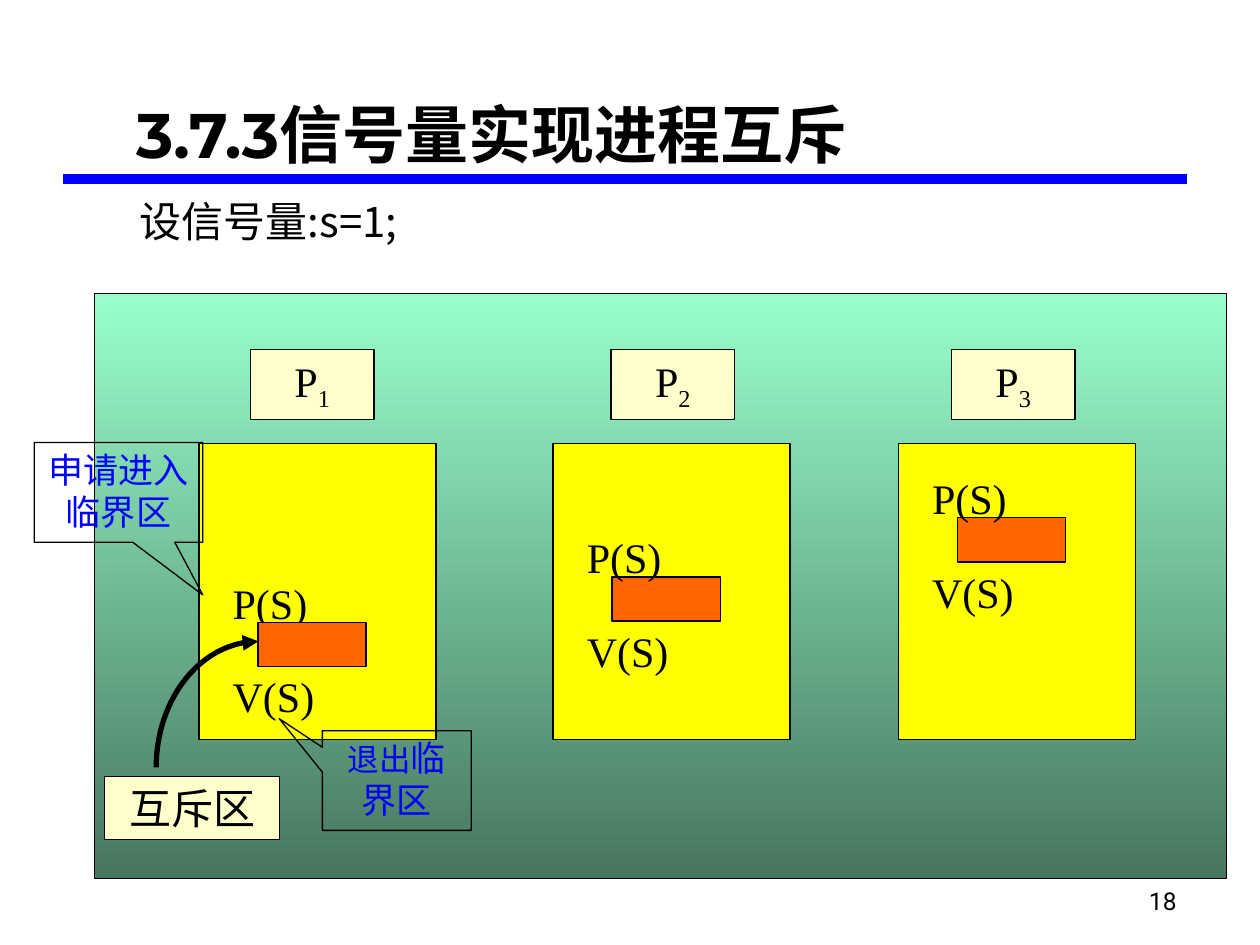
from dataclasses import dataclass
from math import cos, pi, sin

from lxml import etree
from pptx import Presentation
from pptx import util as u
from pptx.dml.color import RGBColor
from pptx.enum import shapes, text
from pptx.oxml.ns import qn

Cm = u.Cm


@dataclass(frozen=True)
class Theme:
    black: str = "000000"
    blue: str = "0000FF"
    board_top: str = "99FFCC"
    board_bottom: str = "47765E"
    panel: str = "FFFF00"
    critical: str = "FF6600"
    label: str = "FFFFCC"
    serif: str = "Times New Roman"
    heading: str = "Montserrat"
    number: str = "Roboto"
    cjk: str = "Noto Sans CJK SC"
    title_size: int = 36
    body_size: int = 24
    note_size: int = 20
    note_small: int = 18
    number_size: int = 14
    hairline: float = 0.75
    arrow: float = 3
    rule: float = 6


T = Theme()
A = text.PP_ALIGN
V = text.MSO_ANCHOR


def write(sp, content, size=T.body_size, font=T.serif, color=T.black,
          bold=False, align=A.LEFT, anchor=V.TOP):
    """Fill sp with one paragraph; content is a string or (text, size, baseline) runs."""
    tf = sp.text_frame
    tf.word_wrap = True
    tf.auto_size = text.MSO_AUTO_SIZE.NONE
    tf.vertical_anchor = anchor
    p = tf.paragraphs[0]
    p.alignment = align
    p.space_before = u.Pt(0)
    runs = [(content, size, 0)] if isinstance(content, str) else content
    for words, run_size, baseline in runs:
        r = p.add_run()
        r.text = words
        r.font.size = u.Pt(run_size)
        r.font.name = font
        r.font.bold = bold
        r.font.color.rgb = RGBColor.from_string(color)
        rPr = r._r.get_or_add_rPr()
        rPr.find(qn("a:latin")).addnext(etree.Element(qn("a:ea"), typeface=T.cjk))
        if baseline:
            rPr.set("baseline", str(baseline * 1000))


def outline(sp, width=T.hairline):
    sp.shadow.inherit = False
    sp.line.color.rgb = RGBColor.from_string(T.black)
    sp.line.width = u.Pt(width)


def box(s, x, y, w, h, fill=None, kind=shapes.MSO_SHAPE.RECTANGLE):
    sp = s.shapes.add_shape(kind, Cm(x), Cm(y), Cm(w), Cm(h))
    outline(sp)
    if fill:
        sp.fill.solid()
        sp.fill.fore_color.rgb = RGBColor.from_string(fill)
    else:
        sp.fill.background()
    return sp


def label(s, x, y, w, h, content, **fmt):
    write(s.shapes.add_textbox(Cm(x), Cm(y), Cm(w), Cm(h)), content, **fmt)


def header(s, x, y, w):
    """Title, the rule below it and the opening statement."""
    title = s.shapes.title
    title.left, title.top, title.width, title.height = (
        Cm(x + 1.22), Cm(y), Cm(w - 0.59), Cm(1.27))
    write(title, "3.7.3信号量实现进程互斥", size=T.title_size, font=T.heading,
          bold=True, anchor=V.BOTTOM)
    rule = s.shapes.add_connector(shapes.MSO_CONNECTOR.STRAIGHT,
                                  Cm(x), Cm(y + 1.3), Cm(x + w), Cm(y + 1.3))
    rule.line.color.rgb = RGBColor.from_string(T.blue)
    rule.line.width = u.Pt(T.rule)
    etree.SubElement(rule._element.spPr, qn("a:effectLst"))
    label(s, x + 1.3, y + 1.5, 7.14, 1.27, "设信号量:s=1;", font=T.cjk,
          anchor=V.MIDDLE)


def board(s, x, y, w, h):
    sp = box(s, x, y, w, h)
    sp.fill.gradient()
    sp.fill.gradient_angle = 270
    for stop, color in zip(sp.fill.gradient_stops, (T.board_top, T.board_bottom)):
        stop.color.rgb = RGBColor.from_string(color)


def process(s, x, y, number, label_dx, critical_dy, critical_on_top=False):
    """One process panel with its name above and P, critical section, V inside."""
    box(s, x, y, 4.78, 5.97, T.panel)
    name = box(s, x + label_dx, y - 1.9, 2.49, 1.42, T.label)
    write(name, [("P", T.body_size, 0), (str(number), T.body_size, -25)],
          align=A.CENTER)
    cx, cy = x + 1.19, y + critical_dy

    def critical():
        box(s, cx, cy, 2.18, 0.89, T.critical)

    def operations():
        label(s, cx - 0.76, cy - 1.04, 3.66, 1.27, "P(S)")
        label(s, cx - 0.76, cy + 0.85, 3.81, 1.27, "V(S)")

    steps = (critical, operations)
    for draw in reversed(steps) if critical_on_top else steps:
        draw()


def curved_arrow(s, x, y, w, h, steps=32):
    """Quarter ellipse from the bottom left up to the top right of its box."""
    angles = [pi / 2 * i / steps for i in range(steps + 1)]
    points = [(Cm(x + w * (1 - cos(a))), Cm(y + h * (1 - sin(a)))) for a in angles]
    fb = s.shapes.build_freeform(*points[0])
    fb.add_line_segments(points[1:], close=False)
    sp = fb.convert_to_shape()
    sp.fill.background()
    outline(sp, T.arrow)
    etree.SubElement(sp.line._get_or_add_ln(), qn("a:tailEnd"), type="triangle")


def callout(s, x, y, w, h, tip, content):
    sp = box(s, x, y, w, h, kind=shapes.MSO_SHAPE.RECTANGULAR_CALLOUT)
    for i, value in enumerate(tip):
        sp.adjustments[i] = value
    write(sp, content, size=T.note_size, font=T.cjk, color=T.blue, align=A.CENTER)


def exclusion_diagram(s, x, y, w, h):
    board(s, x, y, w, h)
    top = y + 3.02
    process(s, x + 2.1, top, 1, 1.04, 3.61, critical_on_top=True)
    process(s, x + 9.24, top, 2, 1.17, 2.69)
    process(s, x + 16.2, top, 3, 1.07, 1.5)
    write(box(s, x + 0.2, y + 9.73, 3.53, 1.27, T.label), "互斥区", align=A.CENTER)
    curved_arrow(s, x + 1.24, y + 7.01, 2.06, 2.54)
    callout(s, x - 1.22, y + 3, 3.4, 2.01, (0.5, 1.03), "申请进入临界区")
    callout(s, x + 4.59, y + 8.81, 3, 2.01, (-0.79, -0.62),
            [("退出", T.note_small, 0), ("临界区", T.note_size, 0)])


def main():
    prs = Presentation()
    prs.slide_width, prs.slide_height = Cm(25.4), Cm(19.05)
    s = prs.slides.add_slide(prs.slide_layouts[5])
    header(s, 1.27, 2.31, 22.66)
    exclusion_diagram(s, 1.91, 5.92, 22.81, 11.79)
    label(s, 18.69, 17.3, 5.28, 1.27, "18", size=T.number_size, font=T.number,
          align=A.RIGHT, anchor=V.BOTTOM)
    prs.save("out.pptx")


if __name__ == "__main__":
    main()
